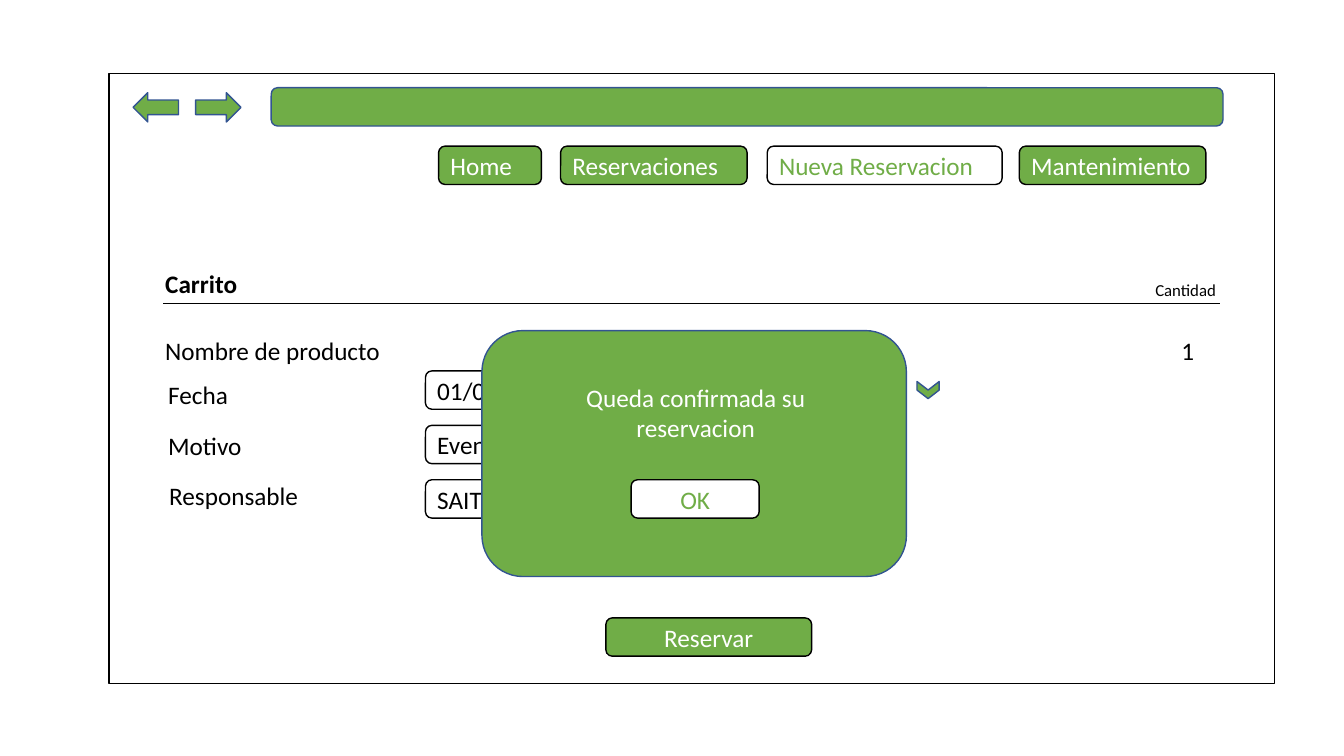
"""Build the wireframe slide that confirms a reservation."""
from lxml import etree
from pptx import Presentation
from pptx.dml.color import RGBColor as Rgb
from pptx.enum.shapes import MSO_CONNECTOR as Link, MSO_SHAPE as Kind
from pptx.enum.text import MSO_ANCHOR as Anchor, MSO_AUTO_SIZE as Auto, PP_ALIGN as Align
from pptx.oxml.ns import qn
from pptx.util import Inches, Pt

HUES = {"green": "70AD47", "blue": "325491", "black": "000000", "white": "FFFFFF"}

deck = Presentation()
deck.slide_width, deck.slide_height = Inches(13.33), Inches(7.5)
slide = deck.slides.add_slide(deck.slide_layouts[6])
shapes = slide.shapes


def write(frame, text, hue, align=Align.LEFT, size=18, bold=False):
    frame.text = text
    para = frame.paragraphs[0]
    para.alignment = align
    font = para.font
    font.name, font.size, font.bold = "Calibri", Pt(size), bold
    font.color.rgb = Rgb.from_string(HUES[hue])


def draw(kind, box, fill="green", edge="blue", text="", hue="white", align=Align.LEFT):
    shape = shapes.add_shape(kind, *map(Inches, box))
    shape.shadow.inherit = False
    shape.fill.solid()
    shape.fill.fore_color.rgb = Rgb.from_string(HUES[fill])
    shape.line.color.rgb = Rgb.from_string(HUES[edge])
    shape.line.width = Pt(1)
    if text:
        frame = shape.text_frame
        frame.word_wrap = True
        frame.vertical_anchor = Anchor.MIDDLE
        write(frame, text, hue, align)
    return shape


draw(Kind.RECTANGLE, (1.08, 0.73, 11.56, 6.05), "white", "black")
for left, turn in ((1.94, 0), (1.32, 180)):
    arrow = draw(Kind.RIGHT_ARROW, (left, 0.92, 0.45, 0.29))
    arrow.rotation = turn
draw(Kind.ROUNDED_RECTANGLE, (2.69, 0.87, 9.44, 0.38))

tabs = (
    (4.35, 1.02, "Home"),
    (5.56, 1.85, "Reservaciones"),
    (7.61, 2.33, "Nueva Reservacion"),
    (10.11, 1.85, "Mantenimiento"),
)
for left, width, text in tabs:
    fill, hue = ("white", "green") if text.startswith("Nueva") else ("green", "white")
    draw(Kind.ROUNDED_RECTANGLE, (left, 1.45, width, 0.38), fill, "black", text, hue)

labels = (
    (1.54, 2.61, 0.92, 0.4, "Carrito", 18, True),
    (11.36, 2.73, 0.81, 0.3, "Cantidad", 12, False),
    (1.54, 3.28, 2.36, 0.4, "Nombre de producto", 18, False),
    (11.62, 3.28, 0.33, 0.4, "1", 18, False),
    (1.57, 3.71, 0.8, 0.4, "Fecha", 18, False),
    (1.57, 4.22, 0.94, 0.4, "Motivo", 18, False),
    (1.58, 4.72, 1.49, 0.4, "Responsable", 18, False),
)
for *box, text, size, bold in labels:
    frame = shapes.add_textbox(*map(Inches, box)).text_frame
    frame.word_wrap = False
    frame.auto_size = Auto.SHAPE_TO_FIT_TEXT
    write(frame, text, "black", size=size, bold=bold)

rule = shapes.add_connector(Link.STRAIGHT, Inches(1.62), Inches(3.01), Inches(12.1), Inches(3.01))
rule.line.color.rgb = Rgb.from_string(HUES["black"])
rule.line.width = Pt(0.5)
etree.SubElement(rule._element.spPr, qn("a:effectLst"))

for row, text in enumerate(("01/0", "Even", "SAIT")):
    box = (4.22, 3.68 + 0.54 * row, 2.04, 0.38)
    draw(Kind.ROUNDED_RECTANGLE, box, "white", "black", text, "black")
draw(Kind.CHEVRON, (9.12, 3.76, 0.17, 0.22)).rotation = 90
draw(Kind.ROUNDED_RECTANGLE, (6.01, 6.13, 2.04, 0.38), "green", "black", "Reservar", "white", Align.CENTER)

draw(Kind.ROUNDED_RECTANGLE, (4.78, 3.28, 4.21, 2.44))
draw(Kind.ROUNDED_RECTANGLE, (6.26, 4.76, 1.27, 0.38), "white", "black", "OK", "green", Align.CENTER)
notice = shapes.add_textbox(Inches(5.3), Inches(3.74), Inches(3.2), Inches(0.71)).text_frame
notice.word_wrap = True
notice.auto_size = Auto.SHAPE_TO_FIT_TEXT
write(notice, "Queda confirmada su reservacion", "white", Align.CENTER)

deck.save("out.pptx")
